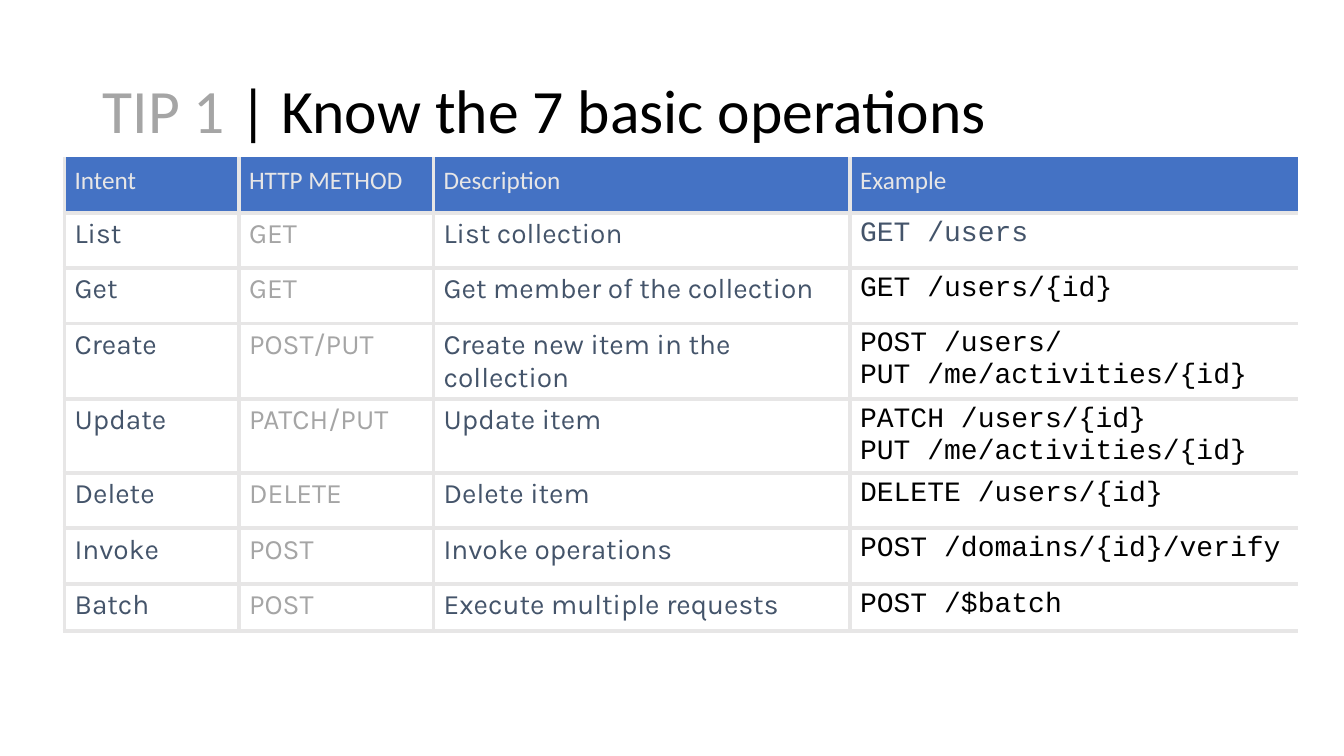
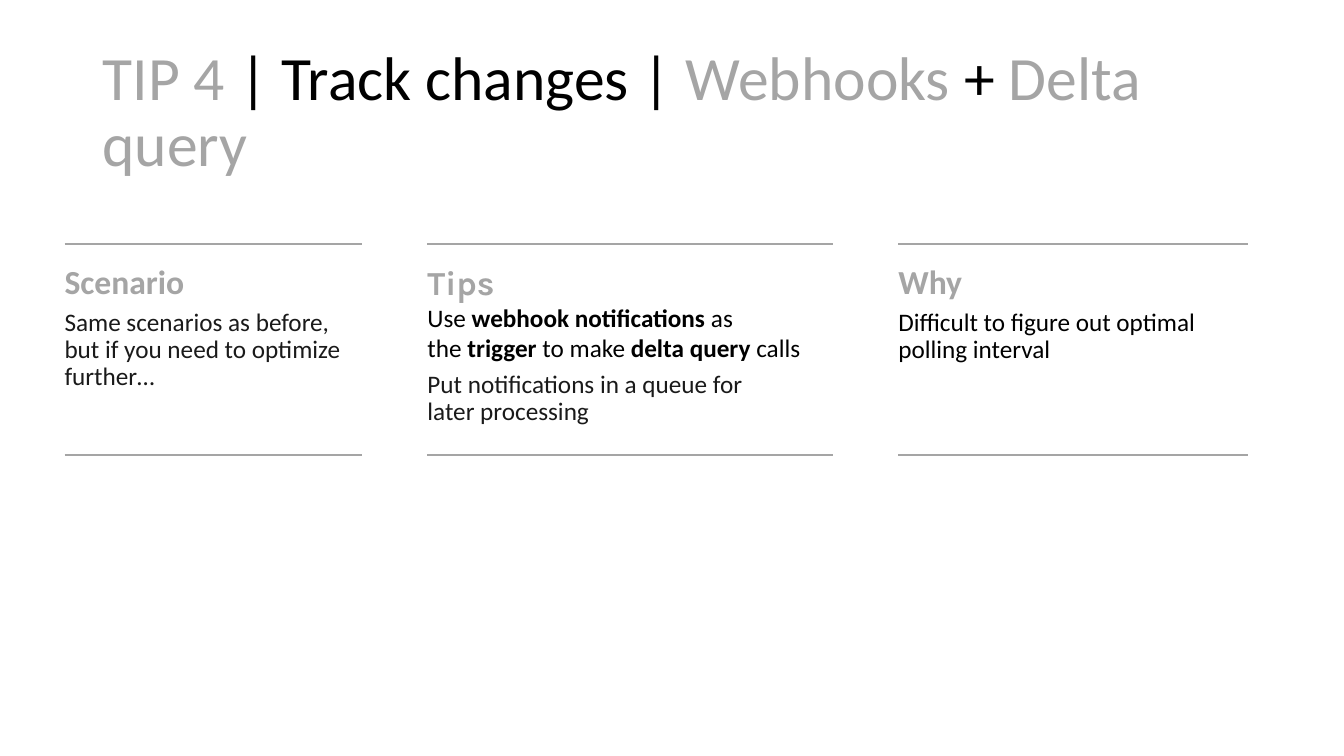
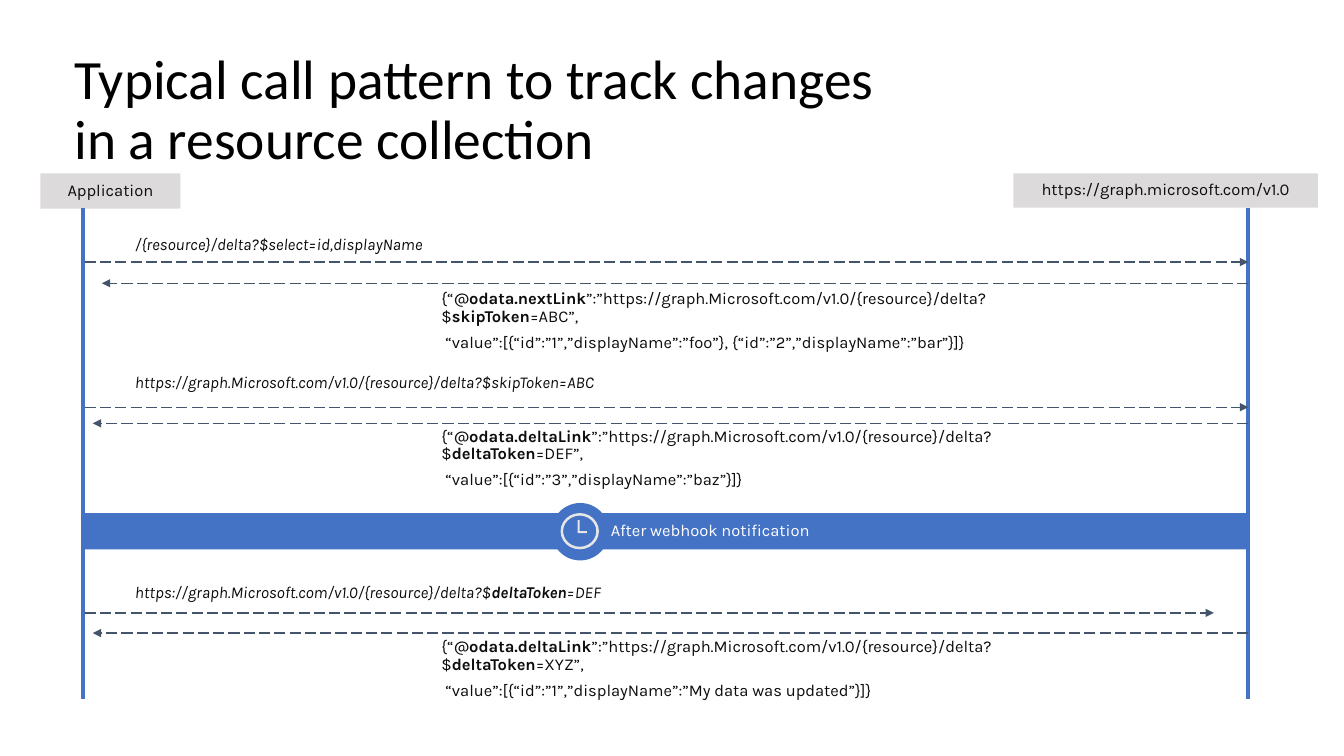
from dataclasses import dataclass, replace
from itertools import accumulate, cycle

from lxml import etree
from pptx import Presentation
from pptx.dml.color import RGBColor
from pptx.enum.dml import MSO_LINE
from pptx.enum.shapes import MSO_CONNECTOR, MSO_SHAPE
from pptx.enum.text import MSO_ANCHOR, PP_ALIGN
from pptx.oxml.ns import qn
from pptx.util import Pt

PX = 9144

BLACK = RGBColor(0x00, 0x00, 0x00)
WHITE = RGBColor(0xFF, 0xFF, 0xFF)
INK = RGBColor(0x0D, 0x0D, 0x0D)
CHARCOAL = RGBColor(0x1A, 0x1A, 0x1A)
GREY = RGBColor(0xA5, 0xA5, 0xA5)
PALE = RGBColor(0xE7, 0xE6, 0xE6)
ENDPOINT_GREY = RGBColor(0xDC, 0xDA, 0xDA)
BLUE = RGBColor(0x44, 0x72, 0xC4)
SLATE = RGBColor(0x44, 0x54, 0x6A)

MIDDLE, TOP = MSO_ANCHOR.MIDDLE, MSO_ANCHOR.TOP
CENTER = PP_ALIGN.CENTER
STRAIGHT = MSO_CONNECTOR.STRAIGHT
RECTANGLE, OVAL, DONUT = MSO_SHAPE.RECTANGLE, MSO_SHAPE.OVAL, MSO_SHAPE.DONUT
LONG_DASH = MSO_LINE.LONG_DASH


@dataclass(frozen=True)
class Style:
    font: str
    size: float
    color: RGBColor
    bold: bool = False
    italic: bool = False


TITLE = Style("Calibri", 44, BLACK)
TITLE_GREY = replace(TITLE, color=GREY)
HEADING = Style("Calibri", 24, GREY, bold=True)
BODY = Style("Calibri", 18, BLACK)
BODY_BOLD = replace(BODY, bold=True)
BODY_DARK = replace(BODY, color=CHARCOAL)
TABLE_HEAD = replace(BODY, color=PALE)
CELL = Style("Karla", 20, SLATE)
METHOD = replace(CELL, color=GREY)
EXAMPLE = Style("Courier New", 20, BLACK)
MESSAGE = Style("Karla", 11.8, INK)
MESSAGE_BOLD = replace(MESSAGE, bold=True)
REQUEST = replace(MESSAGE, italic=True)
REQUEST_BOLD = replace(REQUEST, bold=True)

OPERATIONS = [
    ("Intent", "HTTP METHOD", "Description", "Example"),
    ("List", "GET", "List collection", "GET /users"),
    ("Get", "GET", "Get member of the collection", "GET /users/{id}"),
    ("Create", "POST/PUT", "Create new item in the collection",
     "POST /users/\nPUT /me/activities/{id}"),
    ("Update", "PATCH/PUT", "Update item",
     "PATCH /users/{id}\nPUT /me/activities/{id}"),
    ("Delete", "DELETE", "Delete item", "DELETE /users/{id}"),
    ("Invoke", "POST", "Invoke operations", "POST /domains/{id}/verify"),
    ("Batch", "POST", "Execute multiple requests", "POST /$batch"),
]
COLUMN_WIDTHS = (173, 193, 413, 444)
ROW_HEIGHTS = (55,) * 7 + (47,)
MARGIN = 64

LIFELINES = (82, 1238)
DELTA_URL = "https://graph.Microsoft.com/v1.0/{resource}/delta?$"


def write(paragraph, pieces, styles, spacing=0.9, before=0, after=0):
    """Writes the pieces with the styles taken in turn."""
    paragraph.line_spacing = spacing
    paragraph.space_before = Pt(before)
    paragraph.space_after = Pt(after)
    for piece, style in zip(pieces, cycle(styles)):
        for index, line in enumerate(piece.split("\n")):
            if index:
                paragraph.add_line_break()
            run = paragraph.add_run()
            run.text = line
            font = run.font
            font.name, font.size = style.font, Pt(style.size)
            font.bold, font.italic = style.bold, style.italic
            font.color.rgb = style.color


def set_frame(frame, anchor, insets):
    frame.word_wrap = True
    frame.vertical_anchor = anchor
    (frame.margin_left, frame.margin_top,
     frame.margin_right, frame.margin_bottom) = (inset * PX for inset in insets)


def add_text(slide, left, top, width, height, anchor=MIDDLE,
             insets=(10, 5, 10, 5)):
    box = slide.shapes.add_textbox(left * PX, top * PX, width * PX, height * PX)
    set_frame(box.text_frame, anchor, insets)
    return box.text_frame


def add_title(slide, pieces, styles, place=(92, 40, 1150, 145)):
    write(add_text(slide, *place).paragraphs[0], pieces, styles)


def paint(shape, color):
    shape.shadow.inherit = False
    shape.fill.solid()
    shape.fill.fore_color.rgb = color
    shape.line.fill.background()


def add_block(slide, preset, left, top, width, height, color):
    block = slide.shapes.add_shape(
        preset, left * PX, top * PX, width * PX, height * PX)
    paint(block, color)
    return block


def add_label_block(slide, place, color, label, style, left_inset=20):
    frame = add_block(slide, RECTANGLE, *place, color).text_frame
    set_frame(frame, MIDDLE, (left_inset, 16, 20, 16))
    frame.paragraphs[0].alignment = CENTER
    write(frame.paragraphs[0], [label], [style])


def add_line(slide, x1, y1, x2, y2, color, weight):
    line = slide.shapes.add_connector(
        STRAIGHT, x1 * PX, y1 * PX, x2 * PX, y2 * PX)
    line.line.color.rgb = color
    line.line.width = Pt(weight)
    etree.SubElement(line._element.spPr, qn("a:effectLst"))
    return line


def add_arrow(slide, start, end, y):
    arrow = add_line(slide, start, y, end, y, SLATE, 1)
    arrow.line.dash_style = LONG_DASH
    etree.SubElement(arrow.line._get_or_add_ln(), qn("a:tailEnd"), type="triangle")


def set_borders(cell, hidden):
    properties = cell._tc.get_or_add_tcPr()
    for side in "LRTB":
        border = etree.SubElement(
            properties, qn("a:ln" + side), w=str(Pt(3)))
        if side in hidden:
            etree.SubElement(border, qn("a:noFill"))
        else:
            fill = etree.SubElement(border, qn("a:solidFill"))
            etree.SubElement(fill, qn("a:srgbClr"), val=str(PALE))


def fill_cell(cell, row, column):
    last = len(COLUMN_WIDTHS) - 1
    set_borders(cell, ("T" if row == 0 else "") + ("R" if column == last else ""))
    cell.fill.solid()
    cell.fill.fore_color.rgb = WHITE if row else BLUE
    cell.vertical_anchor = TOP if row else MIDDLE
    style = (CELL, METHOD, CELL, EXAMPLE)[column] if row else TABLE_HEAD
    if (row, column) == (1, last):
        style = replace(EXAMPLE, color=SLATE)
    for index, line in enumerate(OPERATIONS[row][column].split("\n")):
        frame = cell.text_frame
        paragraph = frame.add_paragraph() if index else frame.paragraphs[0]
        write(paragraph, [line], [style], spacing=1.0 if row else Pt(16))


def build_operations(slide):
    table = slide.shapes.add_table(
        len(ROW_HEIGHTS), len(COLUMN_WIDTHS), MARGIN * PX, 156 * PX,
        sum(COLUMN_WIDTHS) * PX, sum(ROW_HEIGHTS) * PX).table
    table.first_row = table.horz_banding = False
    for column, width in zip(table.columns, COLUMN_WIDTHS):
        column.width = width * PX
    for row, height in enumerate(ROW_HEIGHTS):
        table.rows[row].height = height * PX
        for column in range(len(COLUMN_WIDTHS)):
            fill_cell(table.cell(row, column), row, column)
    add_title(slide, ["TIP 1 ", "| Know the 7 basic operations"],
              [TITLE_GREY, TITLE])


def build_advice(slide):
    add_title(slide, ["TIP 4 ", "| Track changes | ", "Webhooks ", "+ ", "Delta query"],
              [TITLE_GREY, TITLE])
    scenario = (["Same scenarios as before, but if you need to optimize further…"],
                [BODY_DARK], 0.9, 6)
    trigger = (["Use ", "webhook notifications ", "as\nthe ", "trigger",
                " to make ", "delta query ", "calls"], [BODY, BODY_BOLD], 1.0, 0)
    queue = (["Put notifications in a queue for\nlater processing"],
             [BODY_DARK], 0.9, 6)
    polling = (["Difficult to figure out optimal polling interval"], [BODY], 0.9, 6)
    columns = [
        ("Scenario", HEADING, 295, (258, 303, 137), [scenario]),
        ("Tips", replace(HEADING, font="Karla"), 402, (259, 440, 172),
         [trigger, queue]),
        ("Why", HEADING, 347, (258, 356, 109), [polling]),
    ]
    gap = 65
    lefts = accumulate((column[2] + gap for column in columns), initial=MARGIN)
    for left, (name, style, rule, (top, width, height), advice) in zip(lefts, columns):
        frame = add_text(slide, left, top, width, height, TOP, (0, 5, 10, 5))
        write(frame.paragraphs[0], [name], [style])
        for pieces, styles, spacing, before in advice:
            write(frame.add_paragraph(), pieces, styles, spacing, before)
        for y in (242, 451):
            add_line(slide, left, y, left + rule, y, GREY, 1.5)


def add_request(slide, pieces, top, width, arrow_y, arrow_end):
    frame = add_text(slide, 124, top, width, 38, insets=(10,) * 4)
    write(frame.paragraphs[0], pieces, [REQUEST, REQUEST_BOLD], after=5.9)
    add_arrow(slide, 84, arrow_end, arrow_y)


def add_response(slide, link, token, code, value, top, arrow_y, arrow_end):
    frame = add_text(slide, 428, top, 695, 64, insets=(10,) * 4)
    write(frame.paragraphs[0],
          ["{“@", link, "”:”" + DELTA_URL, token, f"={code}”,"],
          [MESSAGE, MESSAGE_BOLD], after=5.9)
    write(frame.add_paragraph(), [f" “value”:[{value}]}}"], [MESSAGE], after=5.9)
    add_arrow(slide, LIFELINES[1], arrow_end, arrow_y)


def add_clock(slide):
    add_block(slide, OVAL, 547, 499, 57, 57, BLUE)
    dial = add_block(slide, DONUT, 556, 509, 38, 36, PALE)
    dial.adjustments[0] = 0.07
    hands = slide.shapes.build_freeform(573, 516, scale=PX)
    hands.add_line_segments(
        [(575, 516), (575, 527), (582, 527), (582, 529), (573, 529)])
    paint(hands.convert_to_shape(), PALE)


def build_call_pattern(slide):
    add_title(slide, ["Typical call pattern to track changes\nin a resource collection"],
              [replace(TITLE, size=39.6)], (64, 50, 1205, 121))
    add_label_block(slide, (40, 172, 139, 35), ENDPOINT_GREY, "Application", MESSAGE)
    add_label_block(slide, (1005, 172, 302, 34), ENDPOINT_GREY,
                    "https://graph.microsoft.com/v1.0", MESSAGE)
    for x in LIFELINES:
        add_line(slide, x, 206, x, 693, BLUE, 3)

    add_request(slide, ["/{resource}/delta?$select=id,displayName"], 224, 314, 260, 1238)
    add_response(slide, "odata.nextLink", "skipToken", "ABC",
                 "{“id”:”1”,”displayName”:”foo”}, {“id”:”2”,”displayName”:”bar”}",
                 287, 281, 101)
    add_request(slide, [DELTA_URL + "skipToken=ABC"], 361, 495, 404, 1238)
    add_response(slide, "odata.deltaLink", "deltaToken", "DEF",
                 "{“id”:”3”,”displayName”:”baz”}", 423, 420, 92)
    add_label_block(slide, (84, 509, 1154, 36), BLUE, "After webhook notification",
                    replace(MESSAGE, color=WHITE), left_inset=107)
    add_clock(slide)
    add_request(slide, [DELTA_URL, "deltaToken", "=DEF"], 569, 508, 608, 1204)
    add_response(slide, "odata.deltaLink", "deltaToken", "XYZ",
                 "{“id”:”1”,”displayName”:”My data was updated”}", 632, 628, 92)


def main():
    deck = Presentation()
    deck.slide_width, deck.slide_height = 1333 * PX, 750 * PX
    blank = deck.slide_layouts[6]
    for build in (build_operations, build_advice, build_call_pattern):
        build(deck.slides.add_slide(blank))
    deck.save("out.pptx")


if __name__ == "__main__":
    main()
